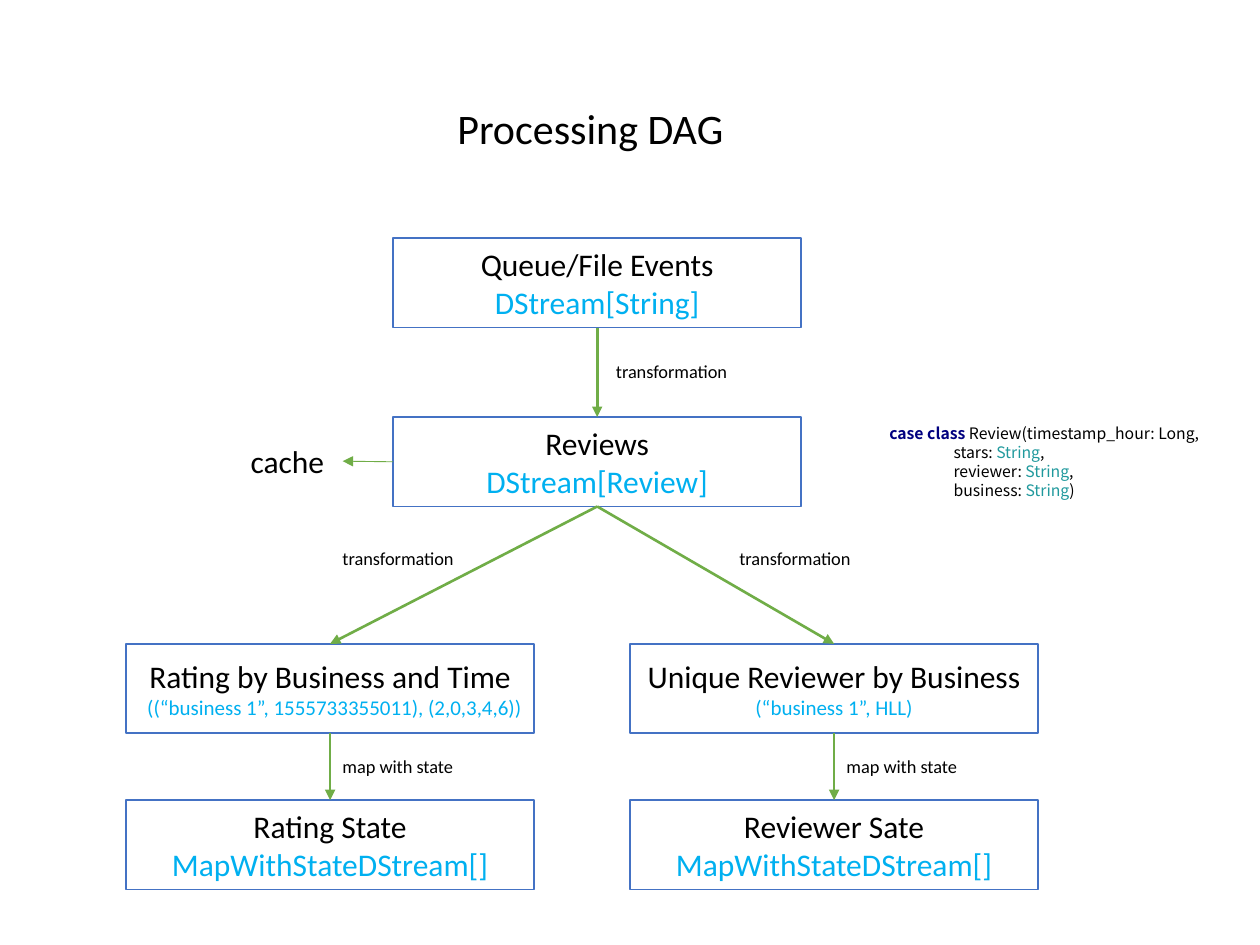
from lxml.etree import SubElement
from pptx import Presentation
from pptx.dml.color import RGBColor
from pptx.enum.shapes import MSO_CONNECTOR as Connector, MSO_SHAPE as Shape
from pptx.enum.text import MSO_ANCHOR as Anchor, MSO_AUTO_SIZE as AutoSize, PP_ALIGN as Align
from pptx.oxml.ns import qn
from pptx.util import Inches, Pt

BLACK = RGBColor(0x00, 0x00, 0x00)
WHITE = RGBColor(0xFF, 0xFF, 0xFF)
BORDER_BLUE = RGBColor(0x44, 0x72, 0xC4)
TYPE_BLUE = RGBColor(0x00, 0xB0, 0xF0)
ARROW_GREEN = RGBColor(0x70, 0xAD, 0x47)
KEYWORD_NAVY = RGBColor(0x00, 0x00, 0x80)
STRING_TEAL = RGBColor(0x20, 0x99, 0x9D)

TOP, LEFT, BOTTOM = 0, 1, 2  # connection sites of a rectangle


def add_run(paragraph, text, size=18, color=BLACK, font="Calibri", bold=False):
    """Append formatted text to a paragraph."""
    run = paragraph.add_run()
    run.text = text
    run.font.size = Pt(size)
    run.font.name = font
    run.font.bold = bold
    run.font.color.rgb = color


class DagSlide:
    """Holds the slide and the style of its parts."""

    node_size = (3.24, 0.71)
    code_font = "Noto Sans CJK SC"

    def __init__(self, deck):
        """Start a title-only slide."""
        self.slide = deck.slides.add_slide(deck.slide_layouts[5])

    def title(self, text, left, top, width, height):
        """Place and fill the title placeholder."""
        title = self.slide.shapes.title
        title.left, title.top = Inches(left), Inches(top)
        title.width, title.height = Inches(width), Inches(height)
        frame = title.text_frame
        frame.auto_size = AutoSize.NONE
        frame.vertical_anchor = Anchor.TOP
        frame.paragraphs[0].alignment = Align.LEFT
        add_run(frame.paragraphs[0], text, size=24)

    def box(self, left, top, width, height):
        """Add a plain white rectangle."""
        box = self.slide.shapes.add_shape(
            Shape.RECTANGLE, Inches(left), Inches(top), Inches(width), Inches(height))
        box.shadow.inherit = False
        box.fill.solid()
        box.fill.fore_color.rgb = WHITE
        box.line.fill.background()
        box.text_frame.word_wrap = True
        box.text_frame.vertical_anchor = Anchor.MIDDLE
        return box

    def node(self, left, top, name, detail, detail_size=18, detail_align=Align.CENTER):
        """Add a bordered stage with its name and data type."""
        node = self.box(left, top, *self.node_size)
        node.line.color.rgb = BORDER_BLUE
        node.line.width = Pt(1)
        heading = node.text_frame.paragraphs[0]
        heading.alignment = Align.CENTER
        add_run(heading, name)
        second = node.text_frame.add_paragraph()
        second.alignment = detail_align
        add_run(second, detail, size=detail_size, color=TYPE_BLUE)
        return node

    def code(self, left, top, width, height, lines):
        """Add a code block; every line after the first is indented."""
        frame = self.box(left, top, width, height).text_frame
        for number, pieces in enumerate(lines):
            line = frame.add_paragraph() if number else frame.paragraphs[0]
            line.alignment = Align.LEFT
            line.line_spacing = Pt(10.9)
            if number:
                line._p.get_or_add_pPr().set("marL", str(Inches(0.51)))
            for text, color in pieces:
                add_run(line, text, size=9, color=color, font=self.code_font,
                        bold=color == KEYWORD_NAVY)

    def label(self, text, left, top, width=1.16, height=0.28, size=10.5):
        """Add a free-standing caption."""
        frame = self.slide.shapes.add_textbox(
            Inches(left), Inches(top), Inches(width), Inches(height)).text_frame
        frame.word_wrap = True
        add_run(frame.paragraphs[0], text, size=size)

    def arrow(self, source, site, target=None, end=(0, 0), width=1.5):
        """Lead an arrow from a node to the top of another, or to a point."""
        arrow = self.slide.shapes.add_connector(
            Connector.STRAIGHT, 0, 0, Inches(end[0]), Inches(end[1]))
        arrow.begin_connect(source, site)
        if target is not None:
            arrow.end_connect(target, TOP)
        arrow.line.color.rgb = ARROW_GREEN
        arrow.line.width = Pt(width)
        SubElement(arrow.line._get_or_add_ln(), qn("a:tailEnd"), type="triangle")
        SubElement(arrow._element.spPr, qn("a:effectLst"))


def main():
    """Build the processing graph."""
    deck = Presentation()
    deck.slide_width, deck.slide_height = Inches(10), Inches(7.5)
    dag = DagSlide(deck)
    dag.title("Processing DAG", 3.53, 0.76, 2.41, 0.5)

    events = dag.node(3.12, 1.89, "Queue/File Events", "DStream[String]")
    reviews = dag.node(3.12, 3.31, "Reviews", "DStream[Review]")
    dag.arrow(events, BOTTOM, reviews)
    dag.label("transformation", 4.79, 2.81)

    dag.arrow(reviews, LEFT, end=(2.72, 3.66), width=0.5)
    dag.label("cache", 1.89, 3.46, 0.83, 0.4, size=18)

    branches = [
        (1, 2.62, "Rating by Business and Time",
         "((“business 1”, 1555733355011), (2,0,3,4,6))", Align.RIGHT, "Rating State"),
        (5, 5.77, "Unique Reviewer by Business",
         "(“business 1”, HLL)", Align.CENTER, "Reviewer Sate"),
    ]
    for left, label_left, name, sample, align, state_name in branches:
        keyed = dag.node(left, 5.11, name, sample, 12, align)
        state = dag.node(left, 6.35, state_name, "MapWithStateDStream[]")
        dag.arrow(reviews, BOTTOM, keyed)
        dag.arrow(keyed, BOTTOM, state)
        dag.label("transformation", label_left, 4.29)
        dag.label("map with state", left + 1.62, 5.94)

    fields = [("stars: ", ","), ("reviewer: ", ","), ("business: ", ")")]
    dag.code(6.96, 3.31, 2.8, 0.71, [
        [("case class ", KEYWORD_NAVY), ("Review(timestamp_hour: Long,", BLACK)],
        *([(field, BLACK), ("String", STRING_TEAL), (ending, BLACK)]
          for field, ending in fields),
    ])
    deck.save("out.pptx")


main()
